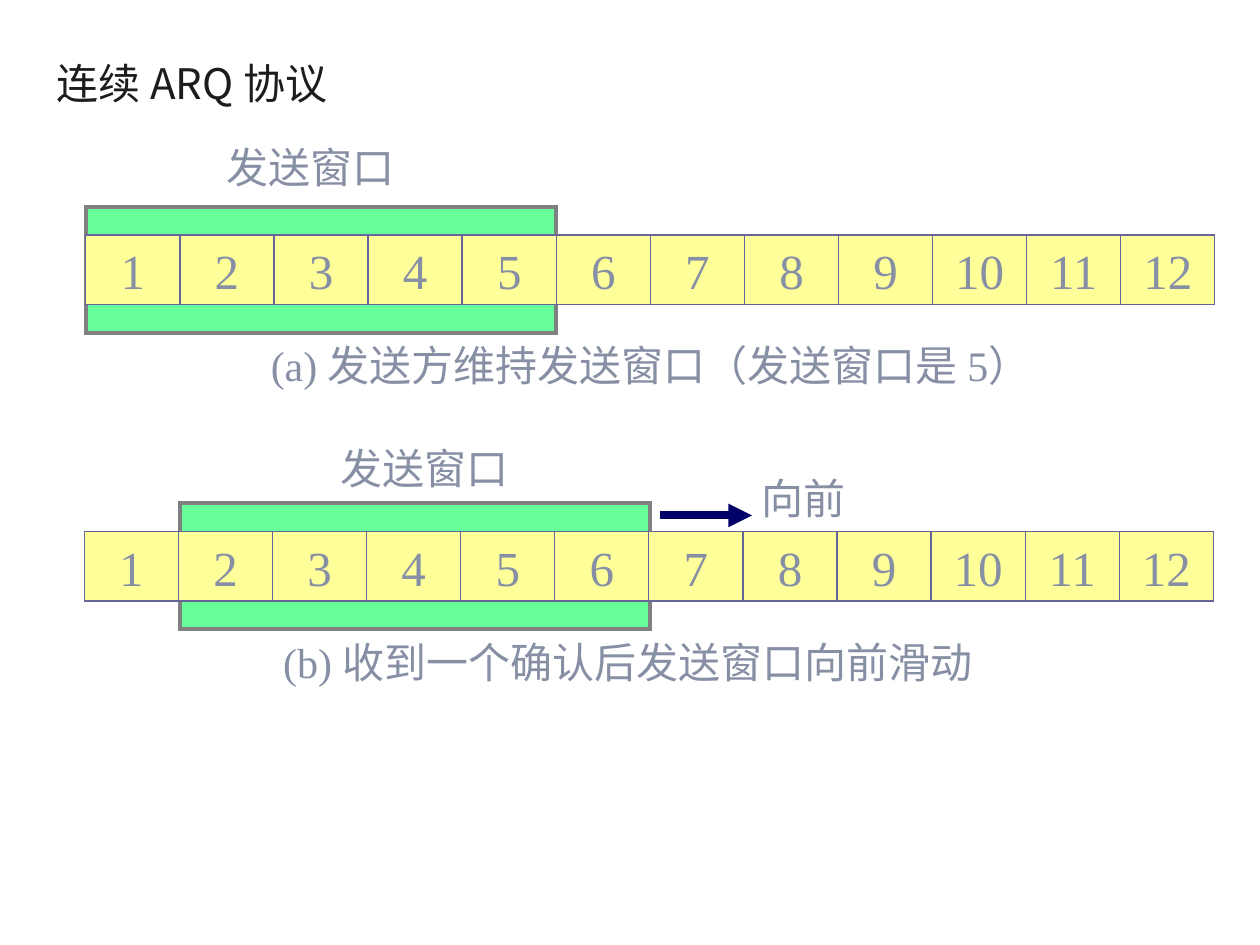
from lxml import etree
from pptx import Presentation
from pptx.dml.color import RGBColor
from pptx.enum.shapes import MSO_CONNECTOR, MSO_SHAPE
from pptx.enum.text import MSO_ANCHOR, MSO_AUTO_SIZE, PP_ALIGN
from pptx.oxml.ns import qn
from pptx.util import Cm, Pt

RECTANGLE = MSO_SHAPE.RECTANGLE
STRAIGHT = MSO_CONNECTOR.STRAIGHT
TOP, MIDDLE = MSO_ANCHOR.TOP, MSO_ANCHOR.MIDDLE
LEFT, CENTER = PP_ALIGN.LEFT, PP_ALIGN.CENTER
FIXED, GROW = MSO_AUTO_SIZE.NONE, MSO_AUTO_SIZE.SHAPE_TO_FIT_TEXT

TITLE_COLOR = RGBColor(0x1C, 0x1C, 0x1C)
TEXT_COLOR = RGBColor(0x87, 0x8F, 0xA5)
WINDOW_FILL = RGBColor(0x66, 0xFF, 0x99)
WINDOW_LINE = RGBColor(0x80, 0x80, 0x80)
FRAME_FILL = RGBColor(0xFF, 0xFF, 0x99)
FRAME_LINE = RGBColor(0x66, 0x66, 0x99)
ARROW_COLOR = RGBColor(0x00, 0x00, 0x66)

LATIN_FONT = "Times New Roman"
CHINESE_FONT = "Noto Sans CJK SC"

# Sequence of frames and the sending window around it, in centimetres
FRAME_COUNT = 12
WINDOW_SIZE = 5
ROW_WIDTH = 22.76
ROW_HEIGHT = 1.4
FRAME_WIDTH = ROW_WIDTH / FRAME_COUNT
WINDOW_HEIGHT = 2.54
WINDOW_MARGIN = (WINDOW_HEIGHT - ROW_HEIGHT) / 2


def add_text(slide, text, left, top, width, height, size=24, color=TEXT_COLOR,
             font=LATIN_FONT, align=LEFT, anchor=TOP, auto_size=GROW, wrap=False):
    box = slide.shapes.add_textbox(Cm(left), Cm(top), Cm(width), Cm(height))
    frame = box.text_frame
    frame.word_wrap = wrap
    frame.auto_size = auto_size
    frame.vertical_anchor = anchor
    paragraph = frame.paragraphs[0]
    paragraph.alignment = align
    run = paragraph.add_run()
    run.text = text
    run.font.size = Pt(size)
    run.font.name = font
    run.font.color.rgb = color
    east_asian = etree.SubElement(run.font._element, qn("a:ea"))
    east_asian.set("typeface", CHINESE_FONT)


def add_rectangle(slide, left, top, width, height, fill, line, line_width):
    shape = slide.shapes.add_shape(RECTANGLE, Cm(left), Cm(top), Cm(width), Cm(height))
    shape.shadow.inherit = False
    shape.fill.solid()
    shape.fill.fore_color.rgb = fill
    shape.line.color.rgb = line
    shape.line.width = Pt(line_width)
    # Square corners
    outline = shape._element.spPr.find(qn("a:ln"))
    etree.SubElement(outline, qn("a:miter")).set("lim", "800000")


def add_line(slide, start_x, start_y, end_x, end_y, color, width, arrow=False):
    connector = slide.shapes.add_connector(
        STRAIGHT, Cm(start_x), Cm(start_y), Cm(end_x), Cm(end_y))
    connector.line.color.rgb = color
    connector.line.width = Pt(width)
    properties = connector._element.spPr
    if arrow:
        tail = etree.SubElement(properties.find(qn("a:ln")), qn("a:tailEnd"))
        tail.set("type", "triangle")
    etree.SubElement(properties, qn("a:effectLst"))


def add_frame_row(slide, left, top, window_left):
    """Draw the numbered frames over the sending window."""
    add_rectangle(slide, window_left, top - WINDOW_MARGIN,
                  WINDOW_SIZE * FRAME_WIDTH, WINDOW_HEIGHT,
                  WINDOW_FILL, WINDOW_LINE, 2.25)
    add_rectangle(slide, left, top, ROW_WIDTH, ROW_HEIGHT, FRAME_FILL, FRAME_LINE, 0.75)
    for index in range(FRAME_COUNT):
        add_text(slide, str(index + 1), left + index * FRAME_WIDTH, top,
                 FRAME_WIDTH, ROW_HEIGHT, size=28, align=CENTER,
                 anchor=MIDDLE, auto_size=FIXED)
    for index in range(1, FRAME_COUNT):
        x = left + index * FRAME_WIDTH
        add_line(slide, x, top, x, top + ROW_HEIGHT, FRAME_LINE, 0.75)


def main():
    presentation = Presentation()
    presentation.slide_width = Cm(25.4)
    presentation.slide_height = Cm(19.05)
    slide = presentation.slides.add_slide(presentation.slide_layouts[6])

    # Title
    add_text(slide, "连续 ARQ 协议", 0.9, 0.8, 20.5, 1.72, color=TITLE_COLOR,
             font=CHINESE_FONT, anchor=MIDDLE, auto_size=FIXED, wrap=True)

    # (a) Window over the first five frames
    add_frame_row(slide, 1.73, 4.74, window_left=1.73)
    add_text(slide, "(a) 发送方维持发送窗口（发送窗口是 5）", 5.21, 6.71, 16.43, 1.27)
    add_text(slide, "发送窗口", 4.32, 2.72, 4, 1.27)

    # (b) Window moved forward by one frame
    add_frame_row(slide, 1.7, 10.72, window_left=3.63)
    add_text(slide, "(b) 收到一个确认后发送窗口向前滑动", 5.46, 12.7, 15, 1.27)
    add_line(slide, 13.31, 10.39, 15.16, 10.39, ARROW_COLOR, 4.5, arrow=True)
    add_text(slide, "向前", 15.11, 9.4, 2.4, 1.27)
    add_text(slide, "发送窗口", 6.61, 8.79, 4, 1.27)

    presentation.save("out.pptx")


if __name__ == "__main__":
    main()
